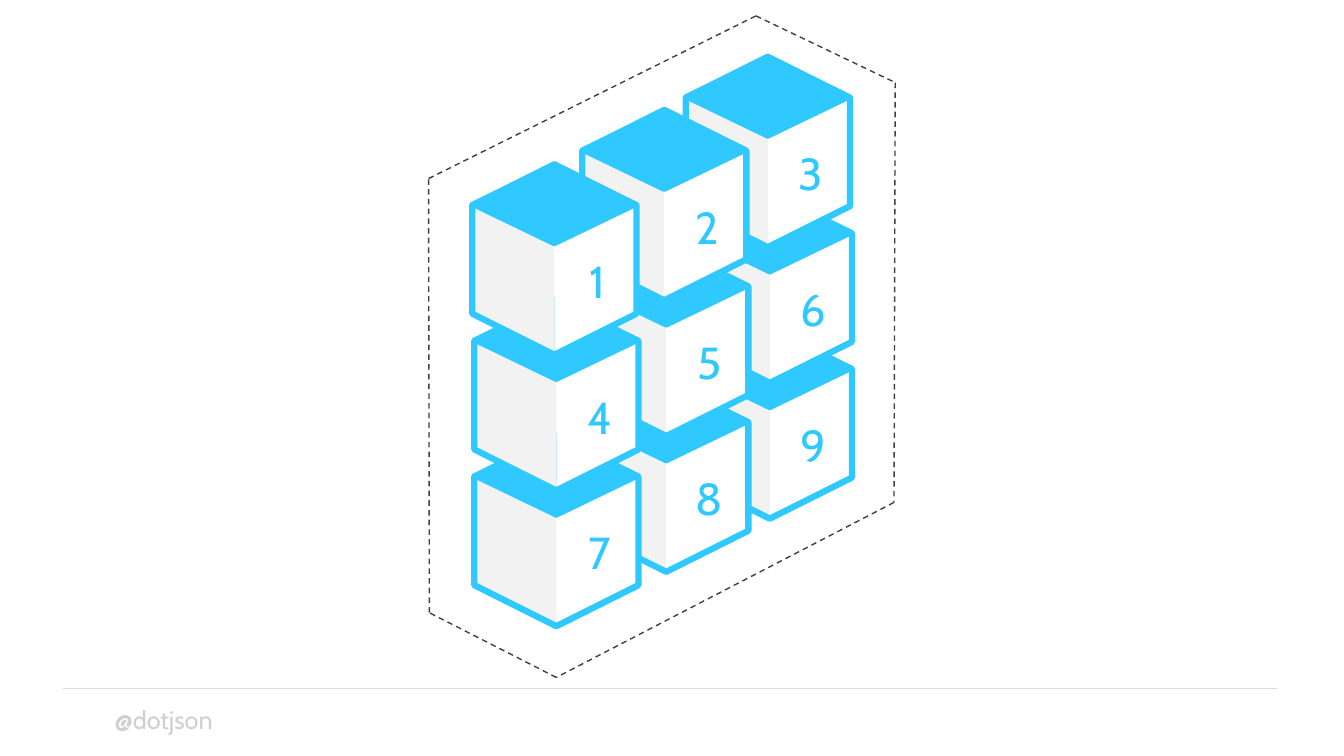
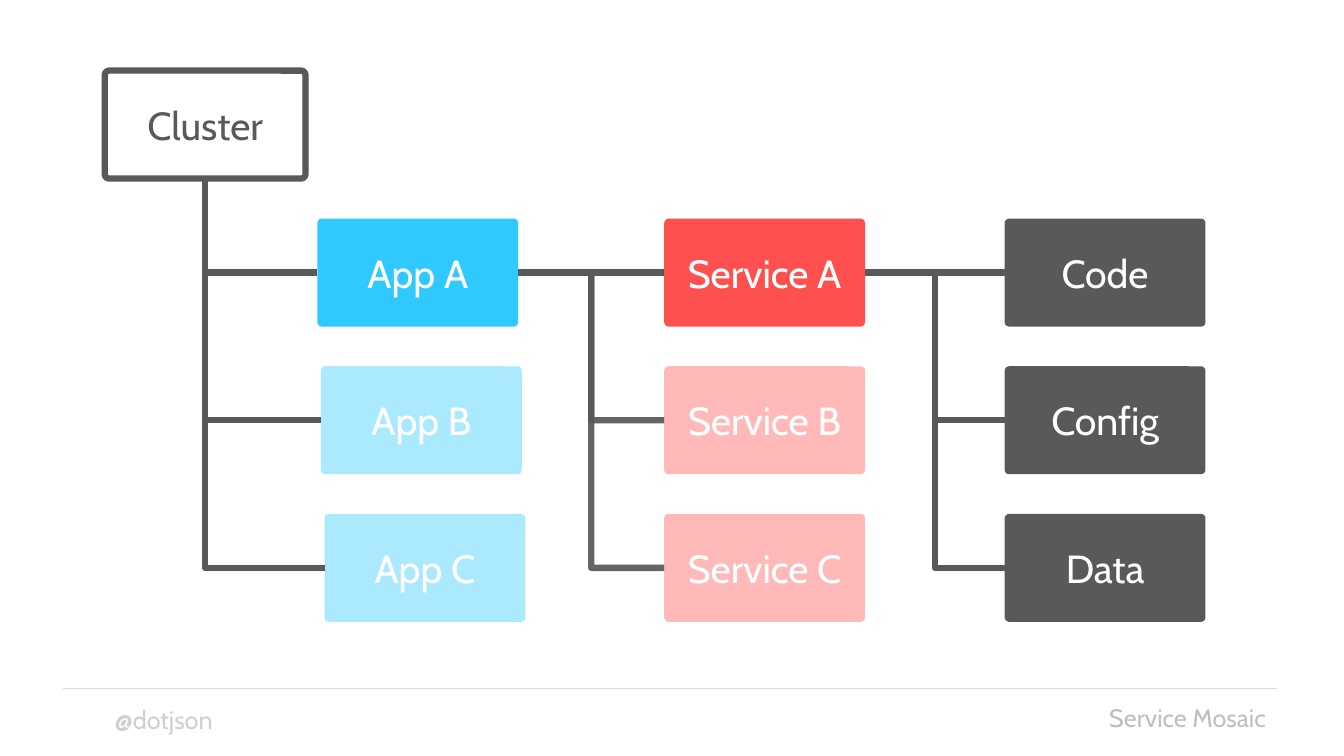
"""Build two slides: a wall of numbered cubes and a cluster hierarchy."""
from dataclasses import dataclass
from itertools import pairwise

from lxml.etree import SubElement
from pptx import Presentation
from pptx.dml.color import RGBColor
from pptx.enum.dml import MSO_LINE as DASH
from pptx.enum.shapes import MSO_CONNECTOR as CXN, MSO_SHAPE as SHAPE
from pptx.enum.text import MSO_ANCHOR as ANCHOR, PP_ALIGN as ALIGN
from pptx.oxml.ns import qn
from pptx.util import Cm, Pt


@dataclass(frozen=True)
class Theme:
    """Colours, font and type sizes of the deck."""
    font: str = "Cabin"
    blue: str = "2FC9FF"
    red: str = "FF5050"
    dark: str = "595959"
    outline: str = "404040"
    white: str = "FFFFFF"
    shade: str = "F2F2F2"
    rule: str = "D9D9D9"
    handle: str = "D0CECE"
    label: str = "BFBFBF"
    footer_pt: int = 18
    card_pt: int = 28
    number_pt: int = 32
    thin: float = 1
    medium: float = 3
    thick: float = 4.5


T = Theme()
TOP, LEFT, BOTTOM, RIGHT = range(4)
CARD_W, CARD_H, CARD_TOP, CARD_STEP = 5.06, 2.72, 5.51, 3.72
FADED = 40


def rgb(color):
    """Turn a hex string into a colour."""
    return RGBColor.from_string(color)


def set_attrs(obj, values):
    """Set each attribute named in a dict."""
    for name, value in values.items():
        setattr(obj, name, value)


def set_alpha(sp, percent):
    """Make every colour of a shape's properties partly transparent."""
    for clr in sp._element.spPr.iter(qn("a:srgbClr")):
        SubElement(clr, qn("a:alpha"), val=str(percent * 1000))


def write(sp, text, size, color, align=ALIGN.LEFT, anchor=ANCHOR.TOP):
    """Put one formatted line of text into a shape."""
    tf = sp.text_frame
    set_attrs(tf, {"word_wrap": True, "vertical_anchor": anchor})
    p = tf.paragraphs[0]
    p.alignment = align
    r = p.add_run()
    r.text = text
    set_attrs(r.font, {"name": T.font, "size": Pt(size)})
    r.font.color.rgb = rgb(color)


def add_text(s, text, box, size, color, **layout):
    """Add a text box at left, top, width, height."""
    write(s.shapes.add_textbox(*map(Cm, box)), text, size, color, **layout)


def paint(sp, fill=None, line=None, width=T.thin):
    """Set fill and outline of a shape, with none where no colour is given."""
    sp.shadow.inherit = False
    if fill:
        sp.fill.solid()
        sp.fill.fore_color.rgb = rgb(fill)
    else:
        sp.fill.background()
    if line:
        sp.line.color.rgb = rgb(line)
        sp.line.width = Pt(width)
    else:
        sp.line.fill.background()


def add_centred(s, kind, cx, cy, w, h, **look):
    """Add a painted preset shape around a centre point."""
    sp = s.shapes.add_shape(kind, Cm(cx - w / 2), Cm(cy - h / 2), Cm(w), Cm(h))
    paint(sp, **look)
    return sp


def add_line(s, start, end, color, width=T.thin, kind=CXN.STRAIGHT, dash=None):
    """Add a connector without shadow between two points."""
    c = s.shapes.add_connector(kind, *map(Cm, (*start, *end)))
    c.line.color.rgb = rgb(color)
    set_attrs(c.line, {"width": Pt(width), "dash_style": dash})
    SubElement(c._element.spPr, qn("a:effectLst"))
    return c


def add_footer(s, label=None):
    """Add the rule, the handle and an optional label on the right."""
    add_line(s, (1.6, 17.35), (32.18, 17.35), T.rule)
    add_text(s, "@dotjson", (2.64, 17.63, 5.41, 1.02), T.footer_pt, T.handle)
    if label:
        add_text(s, label, (23.06, 17.58, 9.09, 1.02), T.footer_pt, T.label,
                 align=ALIGN.RIGHT)


def add_face(s, cx, cy, side, fill):
    """Add the right (side 1) or left (side -1) face of a cube."""
    corners = ((0, 2.4), (0, -0.37), (2.03, -1.31), (2.03, 1.36))
    pts = [(Cm(cx + side * dx), Cm(cy + dy)) for dx, dy in corners]
    fb = s.shapes.build_freeform(*pts[0], scale=1.0)
    fb.add_line_segments(pts[1:])
    paint(fb.convert_to_shape(), fill)


def add_cube(s, cx, cy, number):
    """Add a cube with a number on its right face."""
    add_face(s, cx, cy, 1, T.white)
    add_face(s, cx, cy, -1, T.shade)
    edge = add_centred(s, SHAPE.HEXAGON, cx, cy, 4.8, 4.14,
                       line=T.blue, width=T.thick)
    edge.rotation = 90
    add_centred(s, SHAPE.DIAMOND, cx, cy - 1.39, 4.17, 2.01,
                fill=T.blue, line=T.blue, width=T.medium)
    w, h = 2.59, 2.34
    add_text(s, str(number), (cx + 1.09 - w / 2, cy + 0.53 - h / 2, w, h),
             T.number_pt, T.blue, align=ALIGN.CENTER, anchor=ANCHOR.MIDDLE)


def add_card(s, text, left, top, fill, color=T.white, line=None, alpha=None):
    """Add a rounded card with centred text."""
    sp = add_centred(s, SHAPE.ROUNDED_RECTANGLE, left + CARD_W / 2,
                     top + CARD_H / 2, CARD_W, CARD_H,
                     fill=fill, line=line, width=T.thick)
    sp.adjustments[0] = 0.04
    if alpha:
        set_alpha(sp, alpha)
    write(sp, text, T.card_pt, color, ALIGN.CENTER, ANCHOR.MIDDLE)
    return sp


def add_column(s, texts, left, fill, alpha=None, shift=0):
    """Add a column of cards, faded below the first if alpha is given."""
    return [add_card(s, text, left + i * shift, CARD_TOP + i * CARD_STEP, fill,
                     alpha=alpha if i else None)
            for i, text in enumerate(texts)]


def join(s, a, b, start=RIGHT, kind=CXN.ELBOW):
    """Glue a connector from a site of one card to the left of another."""
    c = add_line(s, (0, 0), (1, 1), T.dark, T.thick, kind)
    c.begin_connect(a, start)
    c.end_connect(b, LEFT)
    return c


def join_down(s, a, b):
    """Join the bottom of a card to the left of another with one bend."""
    c = join(s, a, b, BOTTOM)
    w, h = c.width, c.height
    set_attrs(c, {"left": c.left + (w - h) // 2, "top": c.top + (h - w) // 2,
                  "width": h, "height": w})
    spPr = c._element.spPr
    spPr.find(qn("a:prstGeom")).set("prst", "bentConnector2")
    for name, value in {"rot": "16200000", "flipH": "1"}.items():
        spPr.find(qn("a:xfrm")).set(name, value)


def fan_out(s, parent, children, alpha=None):
    """Join a card to a column on its right."""
    for child in children[1:]:
        c = join(s, parent, child)
        if alpha:
            set_alpha(c, alpha)
    join(s, parent, children[0], kind=CXN.STRAIGHT)


def cubes_slide(s):
    """Draw the wall of cubes from back to front, inside a dashed outline."""
    add_footer(s)
    columns = ((13.97, 6.54), (16.74, 5.17), (19.35, 3.83))
    for col, (x, y) in reversed(list(enumerate(columns))):
        for row in (2, 1, 0):
            add_cube(s, x + (0.05 if row else 0), y + row * 3.42,
                     row * 3 + col + 1)
    outline = ((10.8, 4.5), (19.05, 0.4), (22.56, 2.08), (22.53, 12.66),
               (14.02, 17.07), (10.82, 15.44), (10.8, 4.5))
    for start, end in pairwise(outline):
        add_line(s, start, end, T.outline, dash=DASH.DASH)


def hierarchy_slide(s):
    """Draw the tree from cluster to apps, services and their parts."""
    add_footer(s, "Service Mosaic")
    cluster = add_card(s, "Cluster", 2.64, 1.78, T.white, T.dark, T.dark)
    apps = add_column(s, ("App A", "App B", "App C"), 8, T.blue, FADED, 0.09)
    services = add_column(s, ("Service A", "Service B", "Service C"),
                          16.74, T.red, FADED)
    parts = add_column(s, ("Code", "Config", "Data"), 25.32, T.dark)
    for app in apps:
        join_down(s, cluster, app)
    fan_out(s, apps[0], services, alpha=93)
    fan_out(s, services[0], parts)


def main():
    """Build and save the deck."""
    prs = Presentation()
    set_attrs(prs, {"slide_width": Cm(33.87), "slide_height": Cm(19.05)})
    blank = prs.slide_layouts[6]
    for build in (cubes_slide, hierarchy_slide):
        build(prs.slides.add_slide(blank))
    prs.save("out.pptx")


if __name__ == "__main__":
    main()
